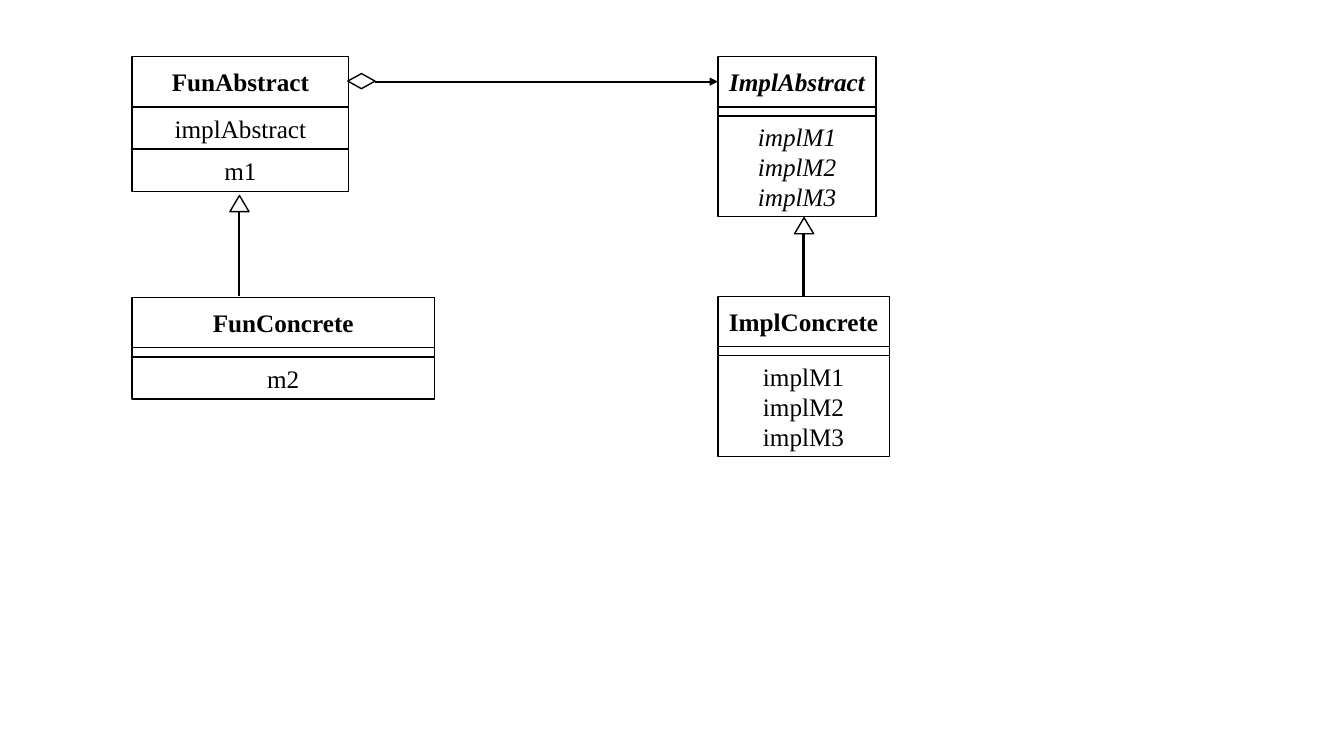
"""Build a UML class diagram of the bridge pattern."""
from lxml.etree import SubElement
from pptx import Presentation
from pptx.dml.color import RGBColor
from pptx.enum.shapes import MSO_CONNECTOR, MSO_SHAPE
from pptx.enum.text import MSO_ANCHOR, PP_ALIGN
from pptx.oxml.ns import qn
from pptx.util import Inches, Pt

BLACK = RGBColor(0x00, 0x00, 0x00)
WHITE = RGBColor(0xFF, 0xFF, 0xFF)
FONT = "Times New Roman"
HEADER_HEIGHT = 0.5
EMPTY_HEIGHT = 0.09


def add_outlined(slide, kind, left, top, width, height):
    """Add a white shape with a thin black outline."""
    sp = slide.shapes.add_shape(
        kind, Inches(left), Inches(top), Inches(width), Inches(height))
    sp.shadow.inherit = False
    sp.fill.solid()
    sp.fill.fore_color.rgb = WHITE
    sp.line.color.rgb = BLACK
    sp.line.width = Pt(1)
    return sp


def write_lines(sp, lines, bold, italic):
    """Write centred lines, one paragraph each."""
    tf = sp.text_frame
    tf.word_wrap = False
    tf.vertical_anchor = MSO_ANCHOR.MIDDLE
    for i, line in enumerate(lines):
        p = tf.add_paragraph() if i else tf.paragraphs[0]
        p.alignment = PP_ALIGN.CENTER
        r = p.add_run()
        r.text = line
        r.font.name = FONT
        r.font.size = Pt(18)
        r.font.color.rgb = BLACK
        r.font.bold = bold
        r.font.italic = italic


def add_class(slide, left, top, width, name, fields, methods, italic=False):
    """Stack the name, field and method boxes and return the name box."""
    header = add_outlined(
        slide, MSO_SHAPE.RECTANGLE, left, top, width, HEADER_HEIGHT)
    write_lines(header, [name], True, italic)
    top += HEADER_HEIGHT
    for lines in (fields, methods):
        height = 0.13 + 0.29 * len(lines) if lines else EMPTY_HEIGHT
        sp = add_outlined(
            slide, MSO_SHAPE.RECTANGLE, left, top, width, height)
        if lines:
            write_lines(sp, lines, False, italic)
        top += height
    return header


def add_line(slide, x1, y1, x2, y2, arrow=False):
    """Add a straight black line, with an arrowhead at its end if asked."""
    cn = slide.shapes.add_connector(
        MSO_CONNECTOR.STRAIGHT, Inches(x1), Inches(y1), Inches(x2), Inches(y2))
    cn.line.color.rgb = BLACK
    cn.line.width = Pt(1.5)
    if arrow:
        SubElement(cn.line._get_or_add_ln(), qn("a:tailEnd"), type="triangle")
    SubElement(cn._element.spPr, qn("a:effectLst"))
    return cn


def add_inheritance(slide, x, top, bottom):
    """Draw a hollow triangle with a line down to the subclass."""
    add_outlined(slide, MSO_SHAPE.ISOSCELES_TRIANGLE, x - 0.09, top, 0.19, 0.16)
    return add_line(slide, x, top + 0.16, x, bottom)


def add_aggregation(slide, left, right, y):
    """Draw a hollow diamond with an arrow to the aggregated class."""
    add_outlined(slide, MSO_SHAPE.DIAMOND, left, y - 0.08, 0.27, 0.15)
    return add_line(slide, left + 0.27, y, right, y, arrow=True)


def main():
    """Lay out the four classes and their relations."""
    prs = Presentation()
    prs.slide_width, prs.slide_height = Inches(13.33), Inches(7.5)
    slide = prs.slides.add_slide(prs.slide_layouts[6])

    impl_methods = ["implM1", "implM2", "implM3"]
    add_class(slide, 1.31, 0.56, 2.15, "FunAbstract", ["implAbstract"], ["m1"])
    add_class(slide, 1.31, 2.95, 3, "FunConcrete", [], ["m2"])
    impl_abstract = add_class(
        slide, 7.12, 0.56, 1.57, "ImplAbstract", [], impl_methods, italic=True)
    impl_concrete = add_class(
        slide, 7.12, 2.94, 1.7, "ImplConcrete", [], impl_methods)

    add_inheritance(slide, 2.37, 1.94, 2.94)
    add_inheritance(slide, 7.97, 2.16, 2.94).end_connect(impl_concrete, 0)
    add_aggregation(slide, 3.45, 7.12, 0.81).end_connect(impl_abstract, 1)
    prs.save("out.pptx")


if __name__ == "__main__":
    main()
